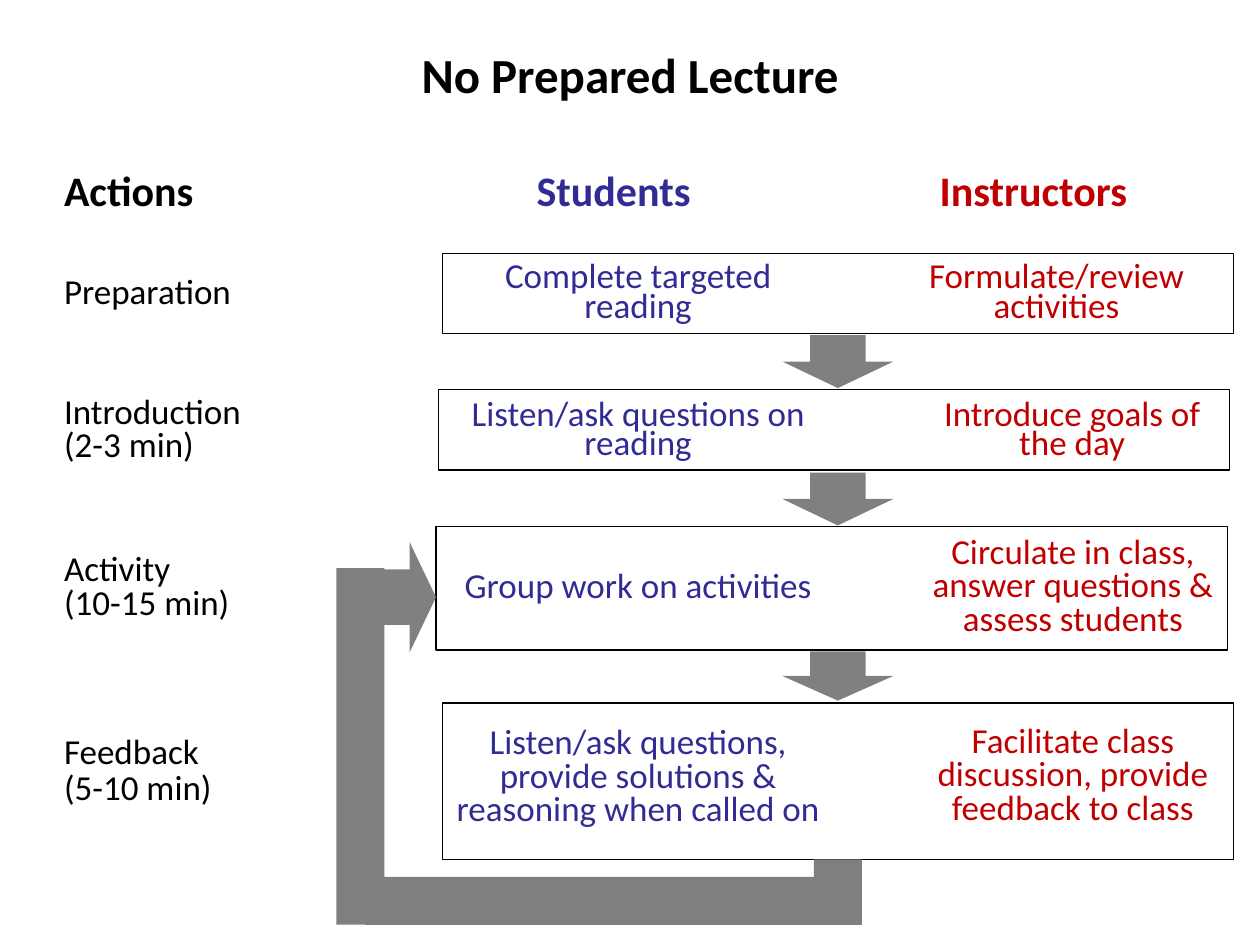
from dataclasses import dataclass

from pptx import Presentation
from pptx.dml.color import RGBColor as RGB
from pptx.enum.shapes import MSO_SHAPE as Shape
from pptx.enum.text import MSO_ANCHOR as Anchor, PP_ALIGN as Align
from pptx.util import Inches, Pt


@dataclass(frozen=True)
class Theme:
    font: str = "Calibri"
    ink: RGB = RGB(0x00, 0x00, 0x00)
    blue: RGB = RGB(0x31, 0x2C, 0x94)
    red: RGB = RGB(0xC0, 0x00, 0x00)
    arrow: RGB = RGB(0x80, 0x80, 0x80)
    loop: RGB = RGB(0x7F, 0x7F, 0x7F)
    title: int = 28
    head: int = 24
    body: int = 20
    line: float = 0.75


class Deck:
    def __init__(self, theme):
        self.theme = theme
        self.prs = Presentation()
        self.prs.slide_width, self.prs.slide_height = Inches(10), Inches(7.5)
        self.slide = self.prs.slides.add_slide(self.prs.slide_layouts[5])

    def fill_text(self, frame, paras, size, color, bold, align, gap):
        """Fill a frame with one paragraph per string; a newline inside one breaks the line."""
        frame.word_wrap = True
        for i, text in enumerate(paras):
            para = frame.paragraphs[0] if i == 0 else frame.add_paragraph()
            para.text = text
            para.alignment = align
            para.line_spacing = gap
            para.space_before = Pt(size * 0.2)
            for run in para.runs:
                font = run.font
                font.name, font.size, font.bold = self.theme.font, Pt(size), bold
                font.color.rgb = color

    def title(self, text, box):
        shape = self.slide.shapes.title
        shape.left, shape.top, shape.width, shape.height = map(Inches, box)
        shape.text_frame.vertical_anchor = Anchor.TOP
        self.fill_text(shape.text_frame, [text], self.theme.title, self.theme.ink,
                       True, Align.CENTER, 1.0)

    def text(self, paras, box, color, size=None, bold=False, align=Align.CENTER, gap=0.8):
        frame = self.slide.shapes.add_textbox(*map(Inches, box)).text_frame
        frame.vertical_anchor = Anchor.MIDDLE
        self.fill_text(frame, paras, size or self.theme.body, color, bold, align, gap)

    def shape(self, kind, box, fill=None):
        """Draw a filled shape without a line, or an outline if no fill is given."""
        shape = self.slide.shapes.add_shape(kind, *map(Inches, box))
        shape.shadow.inherit = False
        if fill is None:
            shape.fill.background()
            shape.line.color.rgb = self.theme.ink
            shape.line.width = Pt(self.theme.line)
        else:
            shape.fill.solid()
            shape.fill.fore_color.rgb = fill
            shape.line.fill.background()


def main():
    theme = Theme()
    deck = Deck(theme)
    deck.title("No Prepared Lecture", (0.5, 0.3, 9, 0.62))

    heads = [
        ("Actions", 0.41, 1.82, theme.ink),
        ("Students", 4.16, 1.82, theme.blue),
        ("Instructors", 7.36, 2.07, theme.red),
    ]
    for name, left, width, color in heads:
        deck.text([name], (left, 1.21, width, 0.66), color, theme.head, True, Align.LEFT)

    # Label, its top and spacing; student text, its top, height and spacing;
    # instructor text, its box and spacing; frame left, top and height
    steps = [
        (["Preparation"], 2.01, 0.8,
         "Complete targeted reading", 2.03, 0.62, 0.7,
         "Formulate/review activities", (6.83, 2.03, 3.11, 0.62), 0.7,
         (3.51, 2.01, 0.64)),
        (["Introduction\n(2-3 min)"], 3.09, 0.8,
         "Listen/ask questions on reading", 3.12, 0.62, 0.7,
         "Introduce goals of the day", (7.23, 3.12, 2.56, 0.62), 0.7,
         (3.48, 3.09, 0.64)),
        (["Activity\n(10-15 min)"], 4.34, 0.8,
         "Group work on activities", 4.36, 0.62, 0.8,
         "Circulate in class, answer questions & assess students",
         (7.09, 4.17, 2.85, 0.99), 0.8,
         (3.46, 4.18, 0.98)),
        (["Feedback", "(5-10 min)"], 5.81, 0.7,
         "Listen/ask questions, provide solutions & reasoning when called on",
         5.59, 1.17, 0.8,
         "Facilitate class discussion, provide feedback to class",
         (7.09, 5.63, 2.85, 1.07), 0.8,
         (3.51, 5.58, 1.24)),
    ]
    for (label, y, gap, task, task_y, task_h, task_gap,
         role, role_box, role_gap, (left, top, height)) in steps:
        deck.text(label, (0.41, y, 2.02, 0.66), theme.ink, align=Align.LEFT, gap=gap)
        deck.text([task], (3.51, task_y, 3.11, task_h), theme.blue, gap=task_gap)
        deck.text([role], role_box, theme.red, gap=role_gap)
        deck.shape(Shape.RECTANGLE, (left, top, 6.28, height))

    for top, height in [(2.66, 0.42), (3.75, 0.42), (5.17, 0.39)]:
        deck.shape(Shape.DOWN_ARROW, (6.21, top, 0.88, height), theme.arrow)

    # Loop from feedback back to activity
    deck.shape(Shape.RIGHT_ARROW, (3.04, 4.3, 0.42, 0.88), theme.arrow)
    for bar in [(6.46, 6.82, 0.38, 0.52), (2.9, 6.96, 3.58, 0.38), (2.67, 4.51, 0.38, 2.83)]:
        deck.shape(Shape.RECTANGLE, bar, theme.loop)

    deck.prs.save("out.pptx")


if __name__ == "__main__":
    main()
